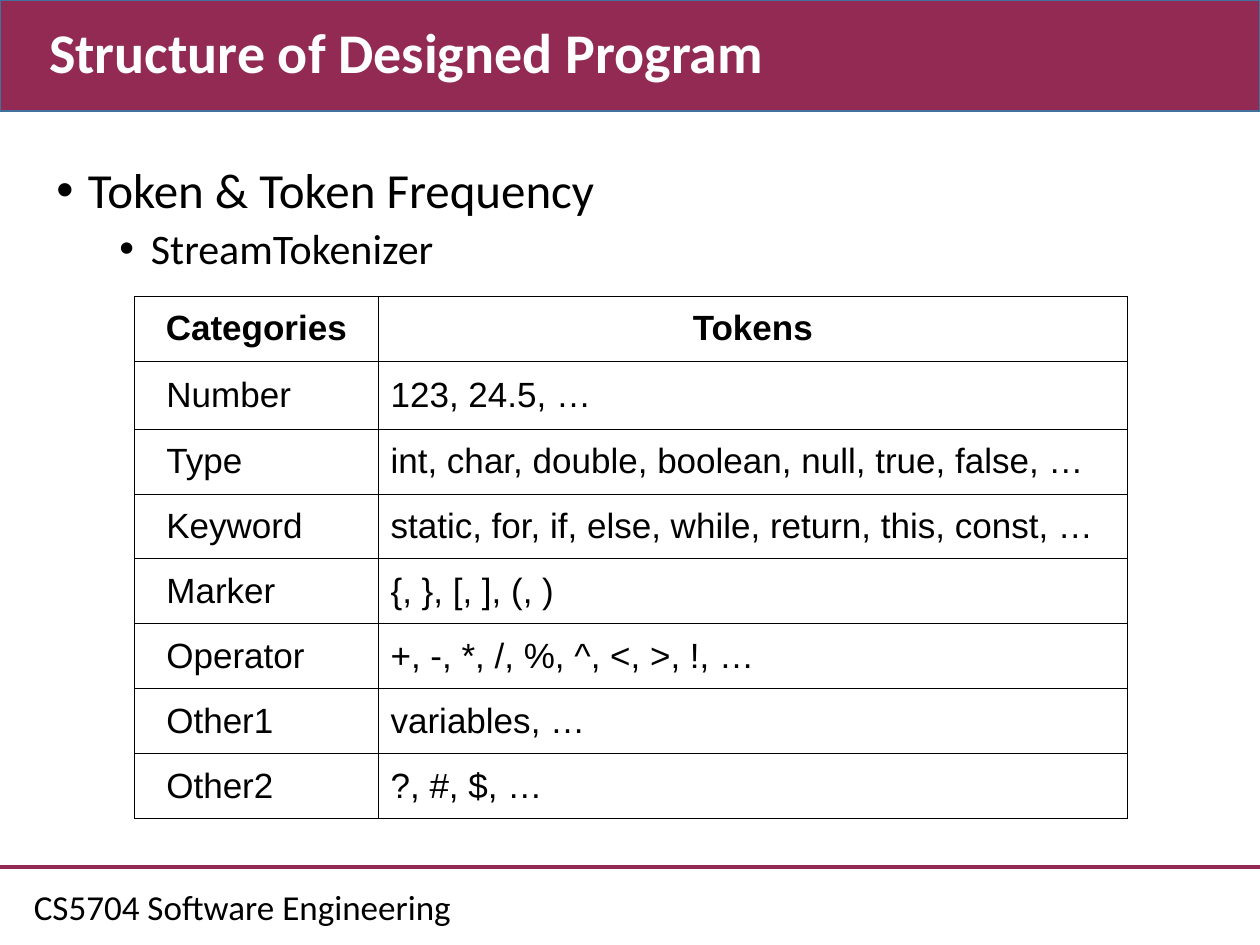
"""Build the slide on token categories of the designed program."""
import lxml.etree
import pptx
import pptx.chart.data
import pptx.dml.color
import pptx.enum.shapes
import pptx.enum.text
import pptx.oxml
import pptx.oxml.ns
import pptx.util

TITLE = "Structure of Designed Program"
FOOTER = "CS5704 Software Engineering"
BULLETS = [
    ("Token & Token Frequency", 28, 0.25, 0),
    ("StreamTokenizer", 24, 0.75, 5),
]
ROWS = [
    ("Categories", "Tokens"),
    ("Number", "123, 24.5, …"),
    ("Type", "int, char, double, boolean, null, true, false, …"),
    ("Keyword", "static, for, if, else, while, return, this, const, …"),
    ("Marker", "{, }, [, ], (, )"),
    ("Operator", "+, -, *, /, %, ^, <, >, !, …"),
    ("Other1", "variables, …"),
    ("Other2", "?, #, $, …"),
]
WIDTH, HEIGHT, BAND = 10, 7.5, 0.88
COLUMNS = (1.93, 5.95)
ROW_HEIGHT, NUMBER_HEIGHT = 0.515, 0.54
MAROON, BLUE, BLACK, WHITE = "922A54", "41719C", "000000", "FFFFFF"
ALIGN = pptx.enum.text.PP_ALIGN
MIDDLE = pptx.enum.text.MSO_ANCHOR.MIDDLE
inch = pptx.util.Inches


def color(value):
    return pptx.dml.color.RGBColor.from_string(value)


def box(*lengths):
    return [inch(length) for length in lengths]


def add(parent, tag, **attributes):
    values = {name: str(value) for name, value in attributes.items()}
    return lxml.etree.SubElement(parent, pptx.oxml.ns.qn(tag), values)


def style(p, size, name="Calibri", ink=BLACK, bold=False):
    for r in p.runs:
        r.font.size = pptx.util.Pt(size)
        r.font.name = name
        r.font.bold = bold
        r.font.color.rgb = color(ink)


def add_frame(s):
    band = s.shapes.add_shape(
        pptx.enum.shapes.MSO_SHAPE.RECTANGLE, *box(0, 0, WIDTH, BAND))
    band.shadow.inherit = False
    band.fill.solid()
    band.fill.fore_color.rgb = color(MAROON)
    band.line.color.rgb = color(BLUE)
    band.line.width = pptx.util.Pt(1)
    rule = s.shapes.add_connector(
        pptx.enum.shapes.MSO_CONNECTOR.STRAIGHT, *box(0, 6.88, WIDTH, 6.88))
    rule.line.color.rgb = color(MAROON)
    rule.line.width = pptx.util.Pt(2.25)
    add(rule.element.spPr, "a:effectLst")
    tf = s.shapes.add_textbox(*box(0.17, 6.98, 4.83, 0.44)).text_frame
    tf.word_wrap = True
    tf.text = FOOTER
    style(tf.paragraphs[0], 20)


def add_bullets(s):
    tf = s.shapes.add_textbox(*box(0.35, 1.27, 9.04, 5.38)).text_frame
    tf.word_wrap = True
    for level, (text, size, indent, before) in enumerate(BULLETS):
        p = tf.add_paragraph() if level else tf.paragraphs[0]
        p.text = text
        p.level = level
        p.line_spacing = 0.9
        p.space_before = pptx.util.Pt(before)
        pPr = p._p.get_or_add_pPr()
        pPr.set("marL", str(inch(indent)))
        pPr.set("indent", str(inch(-0.25)))
        add(pPr, "a:buFont", typeface="Arial")
        add(pPr, "a:buChar", char="•")
        style(p, size)


def place_title(s):
    title = s.shapes.title
    title.left, title.top, title.width, title.height = box(
        0.29, 0, WIDTH - 0.29, BAND)
    tf = title.text_frame
    tf.text = TITLE
    tf.auto_size = pptx.enum.text.MSO_AUTO_SIZE.NONE
    tf.vertical_anchor = MIDDLE
    p = tf.paragraphs[0]
    p.alignment = ALIGN.LEFT
    p.line_spacing = 0.9
    style(p, 32, ink=WHITE, bold=True)
    title.element.getparent().append(title.element)


def add_borders(cell):
    tcPr = cell._tc.get_or_add_tcPr()
    for side in ("a:lnL", "a:lnR", "a:lnT", "a:lnB"):
        line = add(tcPr, side, w=pptx.util.Pt(0.45))
        add(add(line, "a:solidFill"), "a:srgbClr", val=BLACK)


def add_tokens(s):
    heights = [ROW_HEIGHT] * len(ROWS)
    heights[1] = NUMBER_HEIGHT
    table = s.shapes.add_table(
        len(ROWS), len(COLUMNS),
        *box(1.07, 2.35, sum(COLUMNS), sum(heights))).table
    table.first_row = table.horz_banding = False
    for column, width in zip(table.columns, COLUMNS):
        column.width = inch(width)
    for i, (row, height) in enumerate(zip(ROWS, heights)):
        table.rows[i].height = inch(height)
        for j, text in enumerate(row):
            cell = table.cell(i, j)
            cell.text = text
            cell.vertical_anchor = MIDDLE
            cell.margin_left = inch(0.25 if i and not j else 0.1)
            add_borders(cell)
            cell.fill.background()
            p = cell.text_frame.paragraphs[0]
            p.alignment = ALIGN.LEFT if i else ALIGN.CENTER
            style(p, 20, "Arial", bold=not i)


def main():
    prs = pptx.Presentation()
    prs.slide_width, prs.slide_height = box(WIDTH, HEIGHT)
    s = prs.slides.add_slide(prs.slide_layouts[5])
    add_frame(s)
    add_bullets(s)
    place_title(s)
    add_tokens(s)
    prs.save("out.pptx")


if __name__ == "__main__":
    main()
